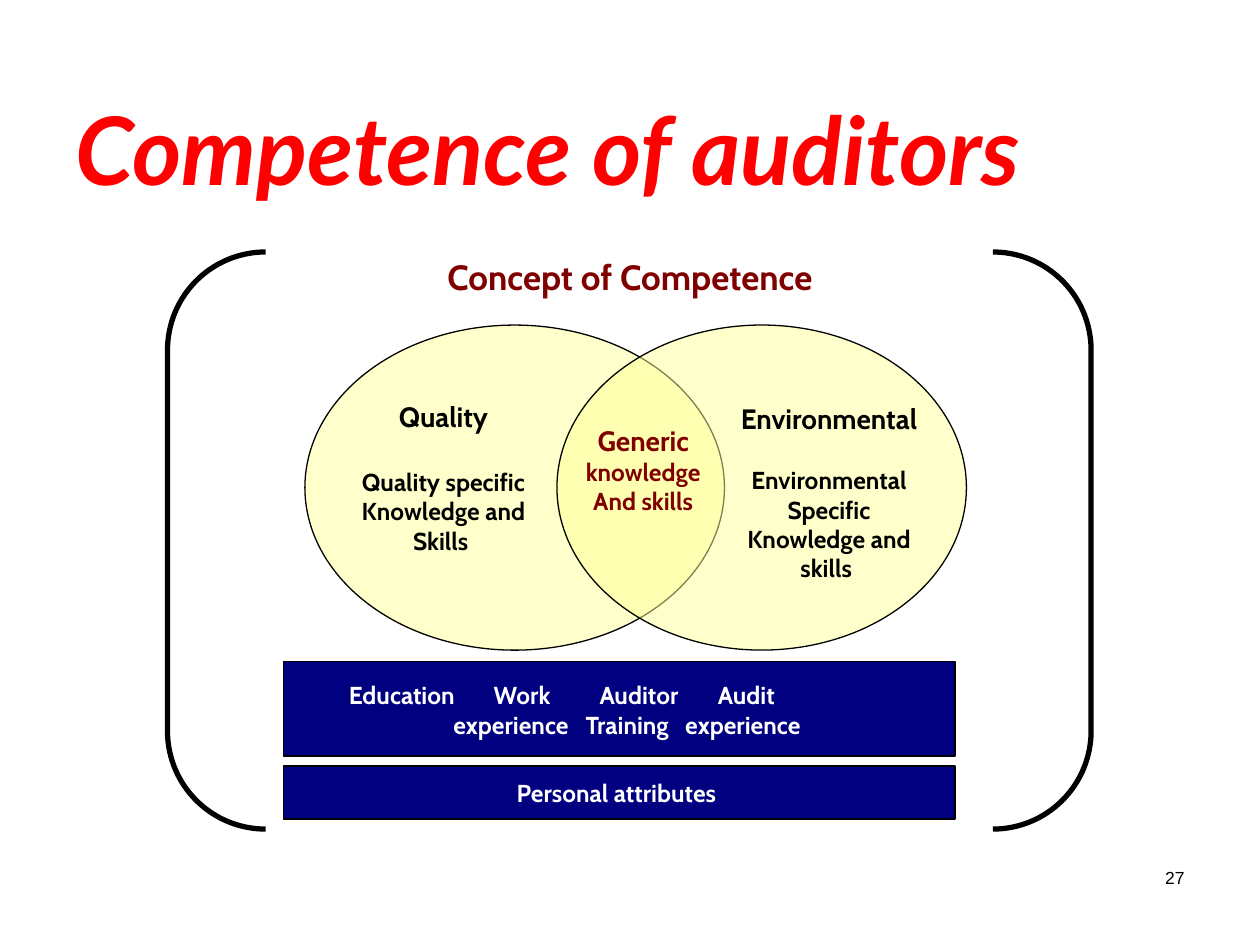
from dataclasses import dataclass

from lxml import etree
from pptx import Presentation
from pptx.dml.color import RGBColor
from pptx.enum.shapes import MSO_SHAPE
from pptx.enum.text import MSO_ANCHOR, PP_ALIGN
from pptx.oxml.ns import qn
from pptx.util import Inches, Pt

LEFT, CENTER, RIGHT = PP_ALIGN.LEFT, PP_ALIGN.CENTER, PP_ALIGN.RIGHT
MIDDLE = MSO_ANCHOR.MIDDLE
RECTANGLE, OVAL, BRACKETS = MSO_SHAPE.RECTANGLE, MSO_SHAPE.OVAL, MSO_SHAPE.DOUBLE_BRACKET
BLACK, WHITE, RED, MAROON = "000000", "FFFFFF", "FF0000", "800000"
NAVY, YELLOW = "000080", "FFFF99"


@dataclass
class Box:
    left: float
    top: float
    width: float
    height: float


@dataclass
class Line:
    text: str
    size: float = 14
    color: str = BLACK
    font: str = "Cabin"
    align: PP_ALIGN = CENTER
    bold: bool = True
    italic: bool = False
    before: float = 0
    tabs: tuple[float, ...] = ()


@dataclass
class TextBlock:
    box: Box
    lines: list[Line]
    wrap: bool = False


def rgb(color: str) -> RGBColor:
    return RGBColor.from_string(color)


def add_tabs(paragraph, positions: tuple[float, ...]) -> None:
    tab_list = etree.SubElement(paragraph._p.get_or_add_pPr(), qn("a:tabLst"))
    for position in positions:
        etree.SubElement(tab_list, qn("a:tab"), pos=str(Inches(position)), algn="l")


def write(frame, lines: list[Line], wrap: bool) -> None:
    frame.word_wrap = wrap
    for index, line in enumerate(lines):
        paragraph = frame.add_paragraph() if index else frame.paragraphs[0]
        if line.tabs:
            add_tabs(paragraph, line.tabs)
        paragraph.text = line.text
        paragraph.alignment = line.align
        if line.before:
            paragraph.space_before = Pt(line.before)
        font = paragraph.font
        font.name, font.size = line.font, Pt(line.size)
        font.bold, font.italic = line.bold, line.italic
        font.color.rgb = rgb(line.color)


def edges(box: Box) -> tuple[Inches, Inches, Inches, Inches]:
    return Inches(box.left), Inches(box.top), Inches(box.width), Inches(box.height)


def draw_text(slide, block: TextBlock) -> None:
    write(slide.shapes.add_textbox(*edges(block.box)).text_frame, block.lines, block.wrap)


def draw_shape(slide, preset: MSO_SHAPE, box: Box, fill: str | None = None,
               line_width: float = 0.75, opacity: int = 100):
    shape = slide.shapes.add_shape(preset, *edges(box))
    shape.shadow.inherit = False
    shape.line.color.rgb = rgb(BLACK)
    shape.line.width = Pt(line_width)
    if fill is None:
        shape.fill.background()
        return shape
    shape.fill.solid()
    shape.fill.fore_color.rgb = rgb(fill)
    if opacity < 100:
        color = shape.fill._xPr.find(qn("a:solidFill"))[0]
        etree.SubElement(color, qn("a:alpha"), val=str(opacity * 1000))
    return shape


PAGE_NUMBER = TextBlock(Box(7.17, 6.83, 2.33, 0.5),
                        [Line("27", 10, font="Arial", align=RIGHT, bold=False)], wrap=True)
TITLE = TextBlock(Box(0.5, 0.67, 8.17, 1.9),
                  [Line("Competence of auditors", 54, RED, "Lato", LEFT, italic=True)], wrap=True)
VENN_LABELS = [
    TextBlock(Box(2.67, 3.12, 1.7, 1.34), [
        Line("Quality", 16), Line("Quality specific", before=19.5),
        Line("Knowledge and"), Line("Skills ")]),
    TextBlock(Box(5.66, 3.14, 1.84, 1.54), [
        Line("Environmental", 16), Line("Environmental", before=17),
        Line("Specific"), Line("Knowledge and"), Line("skills ")]),
    TextBlock(Box(4.47, 3.31, 1.27, 1.07), [
        Line("Generic", 16, MAROON), Line("knowledge", color=MAROON),
        Line("And skills", color=MAROON)]),
]
FOUNDATIONS = TextBlock(Box(2.67, 5.35, 4.43, 0.57), [
    Line("Education\tWork\tAuditor\tAudit", color=WHITE, align=LEFT, tabs=(1.15, 1.99, 2.93)),
    Line("\texperience\tTraining\texperience", color=WHITE, align=LEFT, tabs=(0.83, 1.88, 2.67)),
], wrap=True)
CONCEPT = TextBlock(Box(3.25, 1.98, 3.5, 0.44), [Line("Concept of Competence", 20, MAROON)])


def main() -> None:
    deck = Presentation()
    deck.slide_width, deck.slide_height = Inches(10), Inches(7.5)
    slide = deck.slides.add_slide(deck.slide_layouts[6])

    draw_text(slide, PAGE_NUMBER)
    draw_shape(slide, RECTANGLE, Box(2.25, 5.25, 5.33, 0.75), NAVY)
    draw_shape(slide, OVAL, Box(2.42, 2.58, 3.33, 2.58), YELLOW, opacity=50)
    draw_text(slide, TITLE)
    draw_shape(slide, OVAL, Box(4.42, 2.58, 3.25, 2.58), YELLOW, opacity=50)
    for label in VENN_LABELS:
        draw_text(slide, label)
    draw_text(slide, FOUNDATIONS)
    brackets = draw_shape(slide, BRACKETS, Box(1.33, 2, 7.33, 4.58), line_width=3)
    brackets.adjustments[0] = 0.17
    attributes = draw_shape(slide, RECTANGLE, Box(2.25, 6.08, 5.33, 0.42), NAVY)
    attributes.text_frame.vertical_anchor = MIDDLE
    write(attributes.text_frame, [Line("Personal attributes ", color=WHITE)], wrap=False)
    draw_text(slide, CONCEPT)

    deck.save("out.pptx")


if __name__ == "__main__":
    main()
